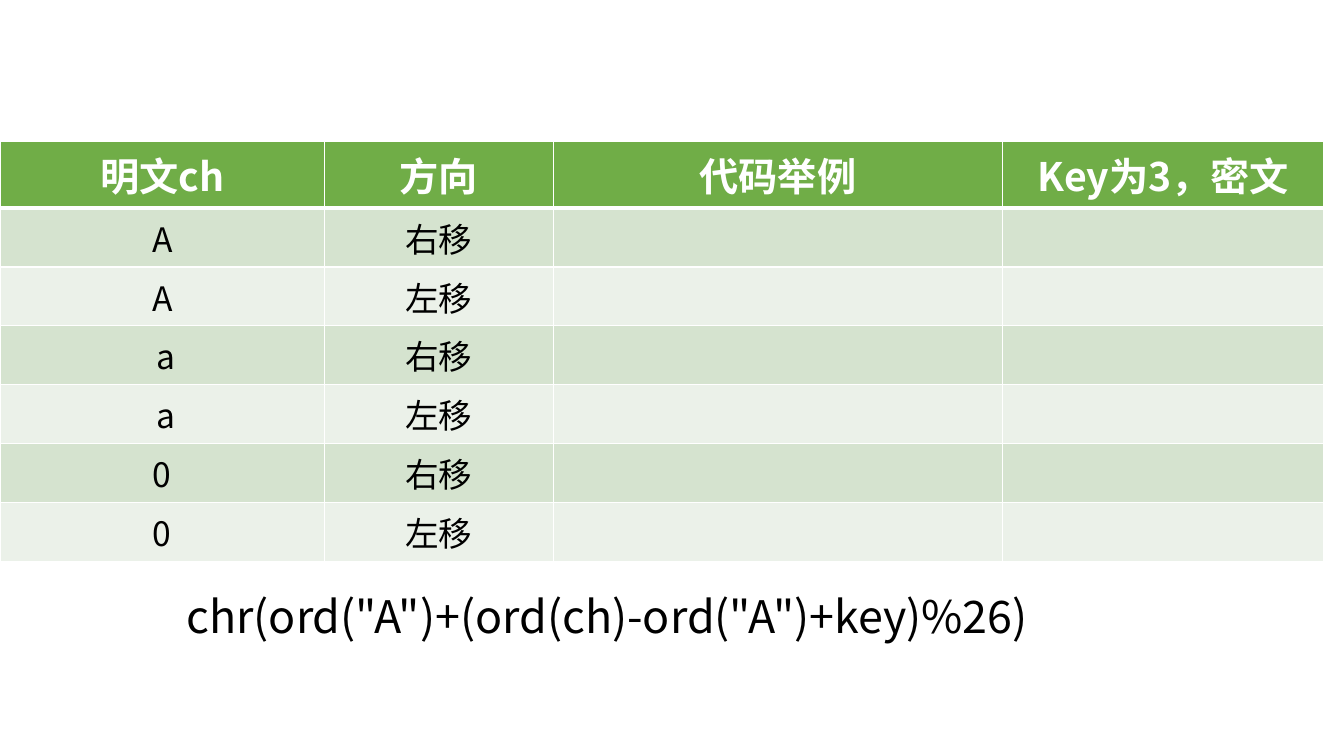
from dataclasses import dataclass

from lxml import etree
from pptx import Presentation
from pptx.dml.color import RGBColor
from pptx.enum.text import PP_ALIGN
from pptx.oxml.ns import qn
from pptx.util import Pt

CENTER, LEFT = PP_ALIGN.CENTER, PP_ALIGN.LEFT

HEADERS = ["明文ch", "方向", "代码举例", "Key为3，密文"]
PLAINTEXTS = ["A", " a", "0"]
DIRECTIONS = ["右移", "左移"]
FORMULA = 'chr(ord("A")+(ord(ch)-ord("A")+key)%26)'

PAGE_SIZE = (960, 540)
TABLE_TOP = 101
COLUMN_WIDTHS = [231.8, 163.4, 321.1, 229.4]
HEADER_HEIGHT, ROW_HEIGHT = 47, 42
FORMULA_BOX = (126, 416.9, 761, 46)


@dataclass(frozen=True)
class Theme:
    font: str = "Noto Sans CJK SC"
    header_fill: str = "70AD47"
    bands: tuple = ("D5E3CF", "EBF1E9")
    white: str = "FFFFFF"
    black: str = "000000"
    header_size: int = 28
    body_size: int = 24
    formula_size: int = 32
    thin: int = 1
    thick: int = 3


THEME = Theme()


def write(frame, text, size, color, align, bold=False):
    para = frame.paragraphs[0]
    para.text = text
    para.alignment = align
    font = para.font
    font.size, font.bold, font.name = Pt(size), bold, THEME.font
    font.color.rgb = RGBColor.from_string(color)
    properties = para._p.get_or_add_pPr().find(qn("a:defRPr"))
    etree.SubElement(properties, qn("a:ea"), typeface=THEME.font)


def set_borders(cell, top, bottom):
    """Draw white cell borders; top and bottom are widths in points."""
    widths = {"a:lnL": THEME.thin, "a:lnR": THEME.thin, "a:lnT": top, "a:lnB": bottom}
    properties = cell._tc.get_or_add_tcPr()
    for place, (tag, width) in enumerate(widths.items()):
        line = etree.Element(qn(tag), w=str(Pt(width)))
        fill = etree.SubElement(line, qn("a:solidFill"))
        etree.SubElement(fill, qn("a:srgbClr"), val=THEME.white)
        properties.insert(place, line)


def add_cipher_table(page):
    body = [[plain, direction, "", ""] for plain in PLAINTEXTS for direction in DIRECTIONS]
    rows = [HEADERS] + body
    heights = [HEADER_HEIGHT] + [ROW_HEIGHT] * len(body)
    table = page.shapes.add_table(
        len(rows), len(HEADERS), Pt(0), Pt(TABLE_TOP),
        Pt(sum(COLUMN_WIDTHS)), Pt(sum(heights))).table
    for column, width in zip(table.columns, COLUMN_WIDTHS):
        column.width = Pt(width)
    for r, (texts, height) in enumerate(zip(rows, heights)):
        table.rows[r].height = Pt(height)
        header = r == 0
        fill = THEME.header_fill if header else THEME.bands[(r - 1) % 2]
        size = THEME.header_size if header else THEME.body_size
        color = THEME.white if header else THEME.black
        for c, text in enumerate(texts):
            cell = table.cell(r, c)
            cell.fill.solid()
            cell.fill.fore_color.rgb = RGBColor.from_string(fill)
            set_borders(cell, top=THEME.thick if r == 1 else THEME.thin,
                        bottom=THEME.thick if header else THEME.thin)
            if text:
                write(cell.text_frame, text, size, color, CENTER, bold=header)


def add_formula(page):
    frame = page.shapes.add_textbox(*map(Pt, FORMULA_BOX)).text_frame
    frame.word_wrap = True
    write(frame, FORMULA, THEME.formula_size, THEME.black, LEFT)


def main():
    deck = Presentation()
    deck.slide_width, deck.slide_height = map(Pt, PAGE_SIZE)
    page = deck.slides.add_slide(deck.slide_layouts[6])
    add_cipher_table(page)
    add_formula(page)
    deck.save("out.pptx")


if __name__ == "__main__":
    main()
